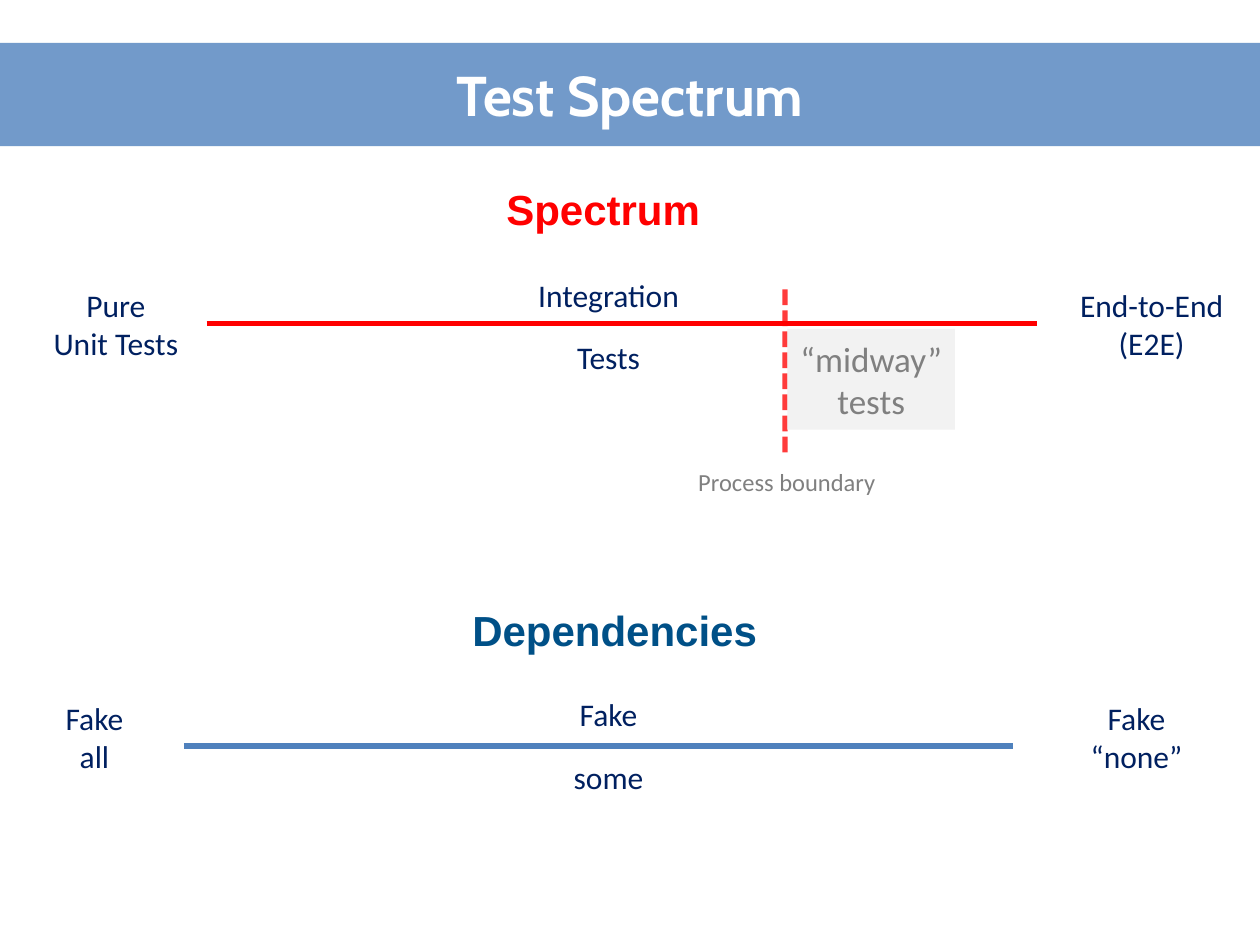
from pptx import Presentation, util as u
from pptx.dml.color import RGBColor
from pptx.enum import dml, shapes, text
from pptx.oxml.ns import qn
from lxml import etree

WHITE = RGBColor(0xFF, 0xFF, 0xFF)
BLUE = RGBColor(0x4F, 0x81, 0xBD)
NAVY = RGBColor(0x00, 0x20, 0x60)
TEAL = RGBColor(0x00, 0x50, 0x87)
RED = RGBColor(0xFF, 0x00, 0x00)
GRAY = RGBColor(0x80, 0x80, 0x80)
PALE = RGBColor(0xF2, 0xF2, 0xF2)

TITLE = {"name": "Cabin", "size": u.Pt(32), "bold": True}
HEADING = {"name": "Arial", "size": u.Pt(24), "bold": True}
LABEL = {"name": "Calibri", "size": u.Pt(18)}
NOTE = {"name": "Calibri", "size": u.Pt(14)}
MIDWAY = {"name": "Calibri", "size": u.Pt(20)}

HEADINGS = [
    ("Spectrum", (3.92, 1.41, 1.76, 0.5), RED),
    ("Dependencies", (3.65, 4.75, 2.48, 0.5), TEAL),
]
LABELS = [
    (["Pure", "Unit Tests"], 0.17, 2.22, 0),
    (["Integration", "Tests"], 4.08, 2.14, 14),
    (["End-to-End", "(E2E)"], 8.39, 2.22, 0),
    (["Fake", "all"], 0, 5.5, 0),
    (["Fake", "some"], 4.08, 5.47, 14),
    (["Fake", "“none”"], 8.27, 5.5, 0),
]
AXES = [(1.64, 8.23, 2.57, RED), (1.46, 8.04, 5.92, BLUE)]


def inches(values):
    return [u.Inches(value) for value in values]


def set_alpha(parent, percent):
    color = next(parent.iter(qn("a:srgbClr")))
    etree.SubElement(color, qn("a:alpha")).set("val", str(percent * 1000))


def write(frame, lines, style, color, align=text.PP_ALIGN.CENTER, gap=0):
    for index, line in enumerate(lines):
        para = frame.add_paragraph() if index else frame.paragraphs[0]
        para.alignment = align
        if index and gap:
            para.space_before = u.Pt(gap)
        span = para.add_run()
        span.text = line
        for key, value in style.items():
            setattr(span.font, key, value)
        span.font.color.rgb = color


def add_text(page, lines, place, style, color, wrap=True, **options):
    box = page.shapes.add_textbox(*inches(place))
    box.text_frame.word_wrap = wrap
    write(box.text_frame, lines, style, color, **options)


def add_rectangle(page, place, color):
    box = page.shapes.add_shape(shapes.MSO_SHAPE.RECTANGLE, *inches(place))
    box.shadow.inherit = False
    box.fill.solid()
    box.fill.fore_color.rgb = color
    box.line.fill.background()
    return box


def add_line(page, ends, color):
    line = page.shapes.add_connector(shapes.MSO_CONNECTOR.STRAIGHT, *inches(ends))
    line.line.color.rgb = color
    line.line.width = u.Pt(3)
    etree.SubElement(line._element.spPr, qn("a:effectLst"))
    return line


def main():
    deck = Presentation()
    deck.slide_width, deck.slide_height = inches((10, 7.5))
    page = deck.slides.add_slide(deck.slide_layouts[5])

    band = add_rectangle(page, (0, 0.34, 10, 0.82), BLUE)
    set_alpha(band._element.spPr, 80)
    title = page.shapes.title
    title._element.addprevious(band._element)
    title.left, title.top, title.width, title.height = inches((0.5, 0.33, 9, 0.83))
    title.text_frame.vertical_anchor = text.MSO_ANCHOR.MIDDLE
    write(title.text_frame, ["Test Spectrum"], TITLE, WHITE)

    for left, right, height, color in AXES:
        add_line(page, (left, height, right, height), color)
    for lines, left, top, gap in LABELS:
        place = (left, top, 1.5, 0.94 if gap else 0.71)
        add_text(page, lines, place, LABEL, NAVY, gap=gap)
    for heading, place, color in HEADINGS:
        add_text(page, [heading], place, HEADING, color, wrap=False,
                 align=text.PP_ALIGN.LEFT)

    boundary = add_line(page, (6.23, 3.59, 6.23, 2.26), RED)
    boundary.line.dash_style = dml.MSO_LINE.SQUARE_DOT
    set_alpha(boundary._element.spPr, 76)
    add_text(page, ["Process boundary"], (5.25, 3.66, 1.99, 0.34), NOTE, GRAY)

    midway = add_rectangle(page, (6.25, 2.61, 1.33, 0.8), PALE)
    midway.text_frame.word_wrap = False
    midway.text_frame.vertical_anchor = text.MSO_ANCHOR.MIDDLE
    write(midway.text_frame, ["“midway”", "tests"], MIDWAY, GRAY)

    deck.save("out.pptx")


if __name__ == "__main__":
    main()
